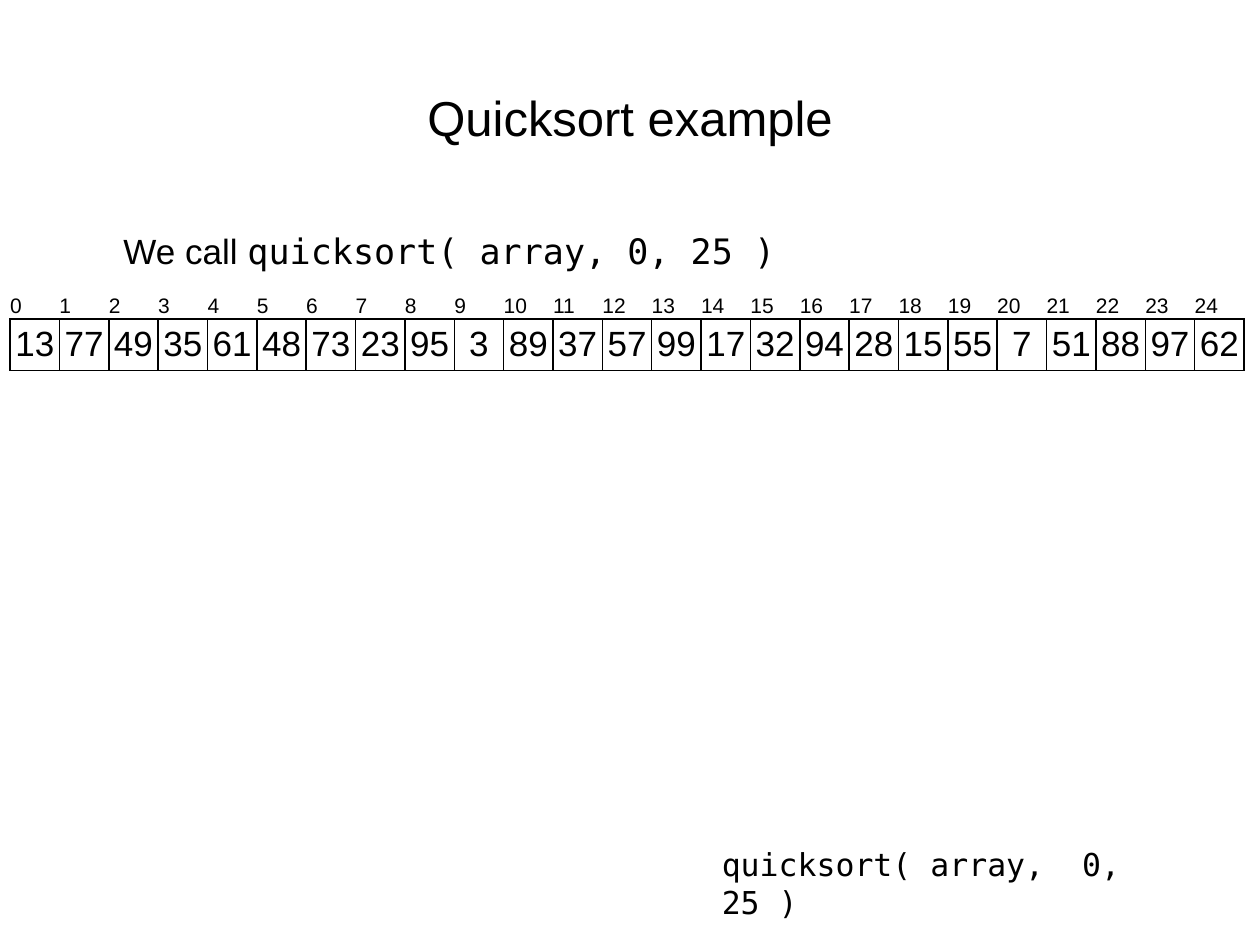
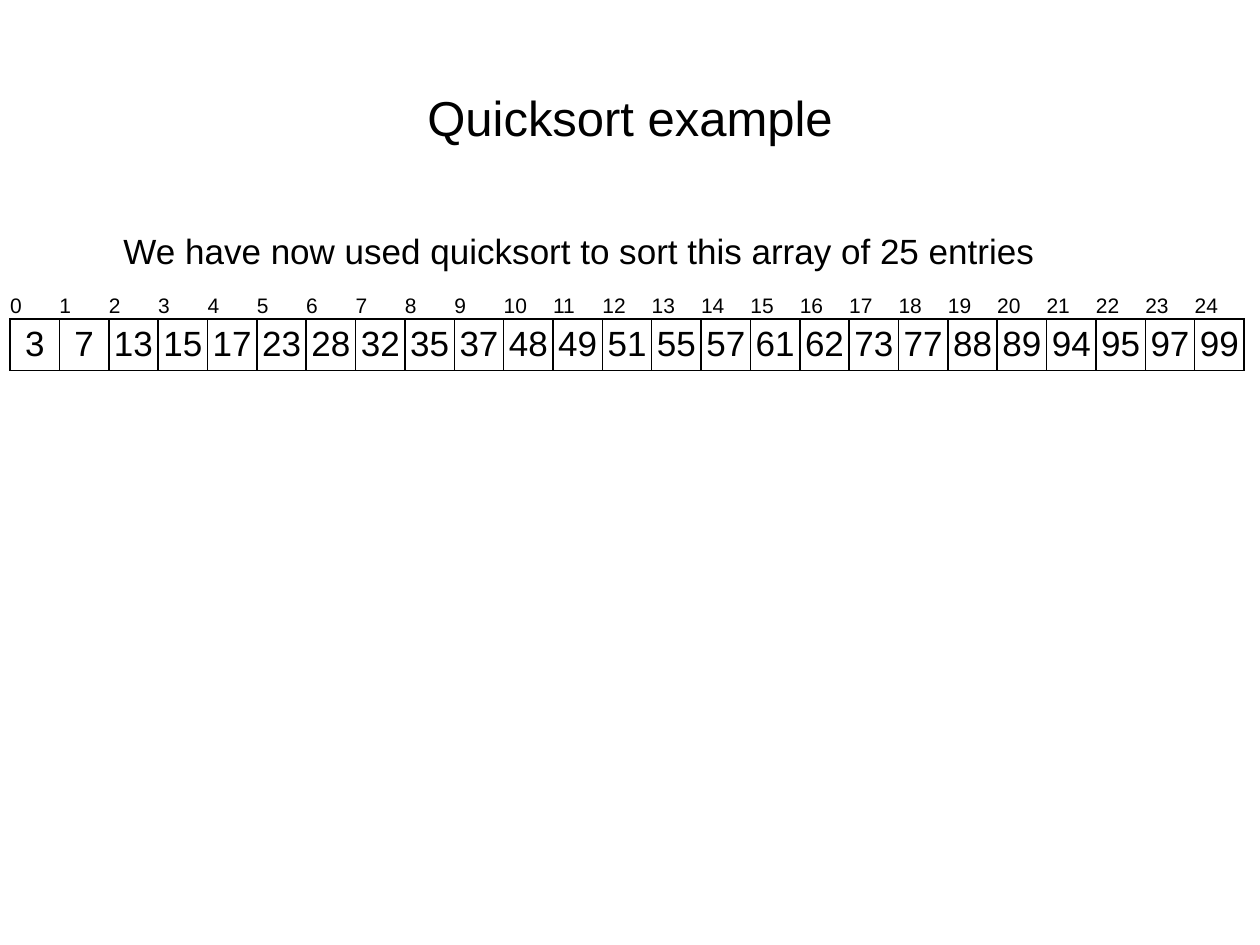
from lxml.etree import SubElement
from pptx import Presentation
from pptx.dml.color import RGBColor
from pptx.enum.text import MSO_ANCHOR, PP_ALIGN
from pptx.oxml.ns import qn
from pptx.util import Inches, Pt

TITLE = "Quicksort example"
# Each statement is a list of (text, font) runs.
SANS, MONO = "Arial", "DejaVu Sans Mono"
SLIDES = [
    {
        "statement": [("We call ", SANS), ("quicksort( array, 0, 25 )", MONO)],
        "array": [13, 77, 49, 35, 61, 48, 73, 23, 95, 3, 89, 37, 57,
                  99, 17, 32, 94, 28, 15, 55, 7, 51, 88, 97, 62],
        "call_stack": "quicksort( array,  0, 25 )",
    },
    {
        "statement": [("We have now used quicksort to sort this array of 25 entries", SANS)],
        "array": [3, 7, 13, 15, 17, 23, 28, 32, 35, 37, 48, 49, 51,
                  55, 57, 61, 62, 73, 77, 88, 89, 94, 95, 97, 99],
        "call_stack": None,
    },
]

BLACK = RGBColor(0, 0, 0)
TITLE_BOX = (0.5, 0.3, 9, 1.25)
STATEMENT_BOX = (0.5, 1.75, 9, 4.95)
CALL_STACK_BOX = (5.63, 6.66, 4.02, 0.4)
TABLE_LEFT, TABLE_TOP, TABLE_WIDTH = 0.08, 2.33, 9.8
INDEX_HEIGHT, VALUE_HEIGHT = 0.19, 0.41
PLAIN_TABLE_STYLE = "{2D5ABB26-0587-4C30-8999-92F81FD0307C}"


def set_font(font, size, name=SANS):
    font.size = Pt(size)
    font.name = name
    font.color.rgb = BLACK


def add_title(slide):
    title = slide.shapes.title
    title.left, title.top, title.width, title.height = map(Inches, TITLE_BOX)
    title.text_frame.text = TITLE
    title.text_frame.vertical_anchor = MSO_ANCHOR.MIDDLE
    paragraph = title.text_frame.paragraphs[0]
    paragraph.alignment = PP_ALIGN.CENTER
    set_font(paragraph.font, 28)


def add_text(slide, box, runs, size):
    """Add a wrapped text box of (text, font) runs and return its frame."""
    frame = slide.shapes.add_textbox(*map(Inches, box)).text_frame
    frame.word_wrap = True
    for text, font_name in runs:
        run = frame.paragraphs[0].add_run()
        run.text = text
        set_font(run.font, size, font_name)
    return frame


def add_borders(cell, sides):
    """Draw 1 pt black lines on the given sides, named in the order L, R, T, B."""
    properties = cell._tc.get_or_add_tcPr()
    for side in sides:
        line = SubElement(properties, qn(f"a:ln{side}"), w=str(Pt(1)))
        fill = SubElement(line, qn("a:solidFill"))
        SubElement(fill, qn("a:srgbClr"), val=str(BLACK))


def fill_cell(cell, text, size, alignment, sides):
    cell.text = str(text)
    cell.margin_left = cell.margin_right = cell.margin_top = cell.margin_bottom = 0
    cell.vertical_anchor = MSO_ANCHOR.MIDDLE
    paragraph = cell.text_frame.paragraphs[0]
    paragraph.alignment = alignment
    set_font(paragraph.font, size)
    add_borders(cell, sides)
    cell.fill.background()


def add_array(slide, values):
    """Show the array as a row of boxed values under their indices."""
    table = slide.shapes.add_table(
        2, len(values), Inches(TABLE_LEFT), Inches(TABLE_TOP),
        Inches(TABLE_WIDTH), Inches(INDEX_HEIGHT + VALUE_HEIGHT)).table
    table.first_row = table.horz_banding = False
    table._tbl.tblPr.find(qn("a:tableStyleId")).text = PLAIN_TABLE_STYLE
    table.rows[0].height = Inches(INDEX_HEIGHT)
    table.rows[1].height = Inches(VALUE_HEIGHT)
    for index, value in enumerate(values):
        table.columns[index].width = Inches(TABLE_WIDTH / len(values))
        fill_cell(table.cell(0, index), index, 12, PP_ALIGN.LEFT, "B")
        fill_cell(table.cell(1, index), value, 20, PP_ALIGN.CENTER, "LRTB")


def main():
    presentation = Presentation()
    presentation.slide_width, presentation.slide_height = Inches(10), Inches(7.5)
    title_only = presentation.slide_layouts[5]
    for content in SLIDES:
        slide = presentation.slides.add_slide(title_only)
        add_title(slide)
        statement = add_text(slide, STATEMENT_BOX, content["statement"], 20)
        statement.margin_left = Inches(0.48)
        statement.margin_top = Inches(0.07)
        add_array(slide, content["array"])
        if content["call_stack"]:
            add_text(slide, CALL_STACK_BOX, [(content["call_stack"], MONO)], 18)
    presentation.save("out.pptx")


if __name__ == "__main__":
    main()
